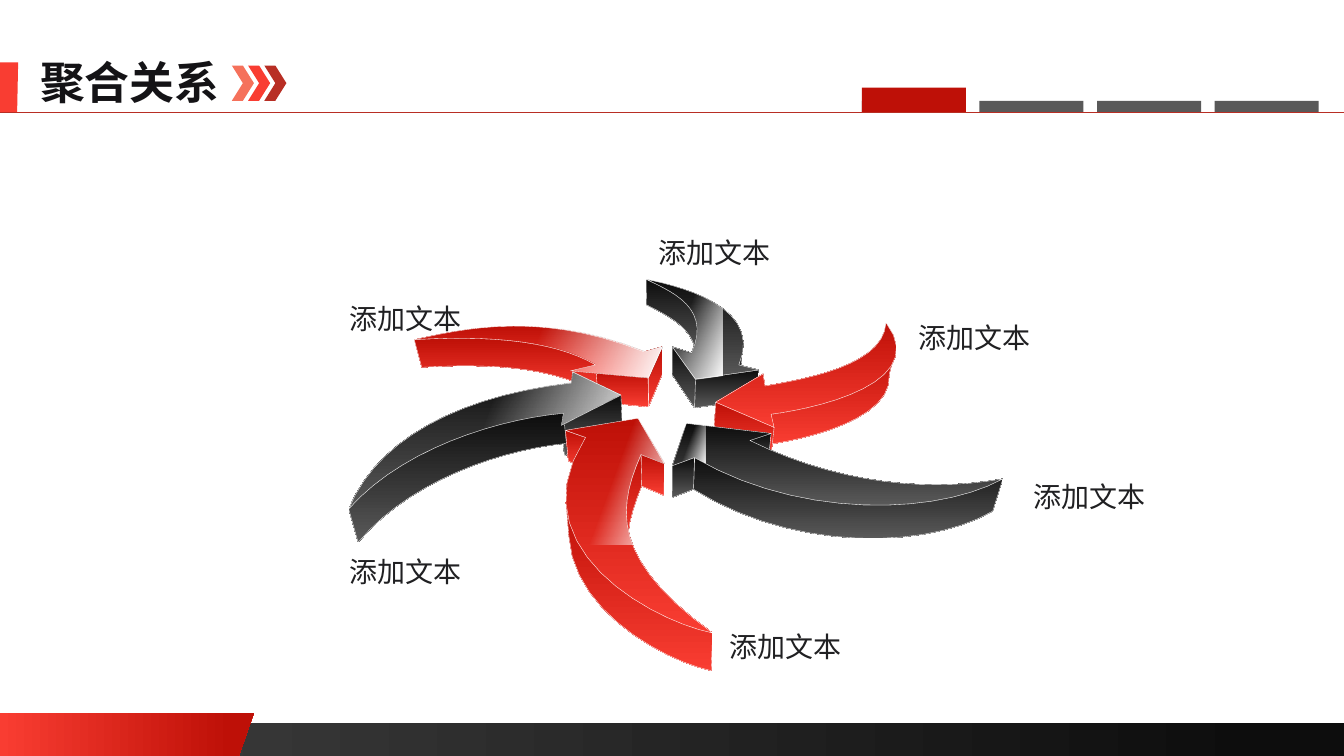
from lxml.etree import SubElement
from pptx import Presentation
from pptx.dml.color import RGBColor
from pptx.enum.shapes import MSO_CONNECTOR, MSO_SHAPE
from pptx.enum.text import MSO_AUTO_SIZE
from pptx.oxml.ns import qn
from pptx.util import Pt

FONT = "Noto Sans CJK SC"
WHITE = RGBColor(0xFF, 0xFF, 0xFF)
RED = RGBColor(0xF9, 0x3D, 0x32)
DEEP_RED = RGBColor(0xBE, 0x10, 0x07)
BRICK = RGBColor(0xB8, 0x2E, 0x24)
CORAL = RGBColor(0xF5, 0x71, 0x5B)
BLACK = RGBColor(0x0D, 0x0D, 0x0D)
CHARCOAL = RGBColor(0x40, 0x40, 0x40)
GREY = RGBColor(0x59, 0x59, 0x59)
TITLE_INK = RGBColor(0x14, 0x13, 0x16)
LABEL_INK = RGBColor(0x20, 0x20, 0x22)

SLIDE_WIDTH, SLIDE_HEIGHT = 960, 540
UNIT = 0.72  # points per step of the grid on which the outlines are given
CURVE_STEPS = 14
HUB_X = 658  # grid column towards which the arrow walls lean
X_AXIS, Y_AXIS = 0, 1

TITLE = "聚合关系"
LABEL = "添加文本"
LABEL_PLACES = [(648.7, 225.4), (730.8, 339.1), (463, 164.9),
                (242.6, 211.7), (242.6, 392.4), (514.1, 446.4)]

FOOTER_TAB = [(0, 707), (252, 707), (237, 750), (0, 750)]
TITLE_TAB = [(0, 62), (18, 62), (17, 112), (0, 112)]

RED_SHADES = (DEEP_RED, RED)
DARK_SHADES = (BLACK, GREY)
# Shades, sheen limit (axis, grid value) and the clockwise outline of the top
# face, where a pair is a corner and six numbers are a cubic curve.
ARROWS = {
    "upper left": (RED_SHADES, (X_AXIS, HUB_X), [
        (411, 337), (469, 324, 539, 310, 639, 349), (657, 344), (643, 375),
        (566, 368), (591, 362), (553, 340, 494, 332, 411, 337)]),
    "lower left": (DARK_SHADES, (X_AXIS, HUB_X), [
        (346, 505), (374, 436, 455, 393, 567, 380), (568, 369), (616, 392),
        (557, 422), (559, 410), (492, 416, 398, 446, 346, 505)]),
    "bottom": (RED_SHADES, (Y_AXIS, 540), [
        (633, 415), (659, 460), (636, 451), (612, 505, 607, 556, 707, 628),
        (650, 617, 510, 544, 581, 434), (561, 427)]),
    "top": (DARK_SHADES, (X_AXIS, 717), [
        (641, 277), (674, 284, 758, 304, 733, 362), (753, 367), (690, 376),
        (667, 344), (686, 350), (706, 306, 668, 290, 641, 277)]),
    "upper right": (RED_SHADES, None, [
        (710, 399), (757, 371), (759, 383), (798, 376, 877, 363, 879, 320),
        (924, 380, 811, 405, 765, 411), (768, 424)]),
    "lower right": (DARK_SHADES, (X_AXIS, 700), [
        (681, 420), (765, 430), (744, 437), (833, 481, 923, 488, 995, 475),
        (930, 511, 793, 515, 689, 454), (667, 462)]),
}


def curve_points(start, segment):
    controls = (start, segment[:2], segment[2:4], segment[4:])
    points = [start]
    for step in range(1, CURVE_STEPS + 1):
        t = step / CURVE_STEPS
        weights = ((1 - t) ** 3, 3 * t * (1 - t) ** 2, 3 * t * t * (1 - t), t ** 3)
        points.append(tuple(sum(w * control[axis] for w, control in zip(weights, controls))
                            for axis in (X_AXIS, Y_AXIS)))
    return points


def trace_edges(outline):
    """Return one list of points for each edge of the closed outline."""
    edges, last = [], outline[0]
    for segment in outline[1:] + outline[:1]:
        edges.append([last, segment] if len(segment) == 2 else curve_points(last, segment))
        last = edges[-1][-1]
    return edges


def drop(point):
    """Lower a top point to the underside, in perspective."""
    x, y = point
    return x + (HUB_X - x) * 0.03, y * 1.034 + 16


def wall_outline(edge):
    """Return the wall below the part of an edge that faces the viewer."""
    rim = []
    for start, end in zip(edge, edge[1:]):
        if end[0] < start[0]:
            rim += [end] if rim else [start, end]
    return rim + [drop(point) for point in reversed(rim)]


def clip(points, axis, limit):
    """Keep the part of a polygon up to the limit on one axis."""
    kept = []
    for start, end in zip(points, points[1:] + points[:1]):
        if start[axis] <= limit:
            kept.append(start)
        if (start[axis] <= limit) != (end[axis] <= limit):
            share = (limit - start[axis]) / (end[axis] - start[axis])
            kept.append(tuple(a + (b - a) * share for a, b in zip(start, end)))
    return kept


def add_outline(page, grid_points):
    points = [(Pt(x * UNIT), Pt(y * UNIT)) for x, y in grid_points]
    builder = page.shapes.build_freeform(*points[0])
    builder.add_line_segments(points[1:], close=True)
    shape = builder.convert_to_shape()
    shape.shadow.inherit = False
    shape.line.fill.background()
    return shape


def add_preset(page, kind, left, top, width, height):
    shape = page.shapes.add_shape(kind, Pt(left), Pt(top), Pt(width), Pt(height))
    shape.shadow.inherit = False
    shape.line.fill.background()
    return shape


def paint(shape, color):
    shape.fill.solid()
    shape.fill.fore_color.rgb = color


def shade(shape, colors, clockwise=0, end=1.0):
    shape.fill.gradient()
    shape.fill.gradient_angle = (360 - clockwise) % 360
    for stop, color, position in zip(shape.fill.gradient_stops, colors, (0, end)):
        stop.color.rgb = color
        stop.position = position


def add_text(page, text, left, top, width, height, size, color, bold=False):
    box = page.shapes.add_textbox(Pt(left), Pt(top), Pt(width), Pt(height))
    box.text_frame.word_wrap = False
    box.text_frame.auto_size = MSO_AUTO_SIZE.SHAPE_TO_FIT_TEXT
    para = box.text_frame.paragraphs[0]
    para.text = text
    font = para.font
    font.size, font.bold, font.name = Pt(size), bold, FONT
    font.color.rgb = color
    SubElement(font._element, qn("a:ea")).set("typeface", FONT)


def add_frame(page):
    """Draw the footer, the title row and the section tabs."""
    footer = add_preset(page, MSO_SHAPE.RECTANGLE, 0, 516.2, SLIDE_WIDTH, 23.8)
    shade(footer, (CHARCOAL, BLACK), end=0.94)
    shade(add_outline(page, FOOTER_TAB), (RED, DEEP_RED), end=0.91)
    paint(add_outline(page, TITLE_TAB), RED)
    add_text(page, TITLE, 21.6, 35.3, 144, 46, 32, TITLE_INK, bold=True)

    rule = page.shapes.add_connector(MSO_CONNECTOR.STRAIGHT, 0, Pt(80), Pt(SLIDE_WIDTH), Pt(80))
    rule.line.color.rgb = BRICK
    rule.line.width = Pt(0.5)
    SubElement(rule._element.spPr, qn("a:effectLst"))

    for index, color in enumerate((CORAL, RED, BRICK)):
        paint(add_preset(page, MSO_SHAPE.CHEVRON, 165.6 + index * 11.6, 46.8, 15.8, 25.2), color)
    for index in range(4):
        paint(add_preset(page, MSO_SHAPE.RECTANGLE, 615.6 + index * 84, 72, 74.3, 7.9), GREY)
    paint(add_preset(page, MSO_SHAPE.RECTANGLE, 615.6, 62.6, 74.3, 17.3), DEEP_RED)


def add_arrow(page, shades, sheen_limit, outline):
    """Draw the walls, the top face and a white sheen that fades to clear."""
    edges = trace_edges(outline)
    top_face = [point for edge in edges for point in edge[:-1]]
    walls = [wall_outline(edge) for edge in edges]
    for points in [wall for wall in walls if wall] + [top_face]:
        face = add_outline(page, points)
        shade(face, shades, clockwise=90)
        face.line.color.rgb = WHITE
        face.line.width = Pt(0.25)
    if sheen_limit:
        sheen = add_outline(page, clip(top_face, *sheen_limit))
        shade(sheen, (WHITE, WHITE), clockwise=200, end=0.52)
        clear_color = sheen._element.xpath(".//a:gs/a:srgbClr")[-1]
        SubElement(clear_color, qn("a:alpha")).set("val", "0")


def main():
    deck = Presentation()
    deck.slide_width, deck.slide_height = Pt(SLIDE_WIDTH), Pt(SLIDE_HEIGHT)
    page = deck.slides.add_slide(deck.slide_layouts[6])
    add_frame(page)
    for shades, sheen_limit, outline in ARROWS.values():
        add_arrow(page, shades, sheen_limit, outline)
    for left, top in LABEL_PLACES:
        add_text(page, LABEL, left, top, 95, 31.7, 20, LABEL_INK)
    deck.save("out.pptx")


if __name__ == "__main__":
    main()
